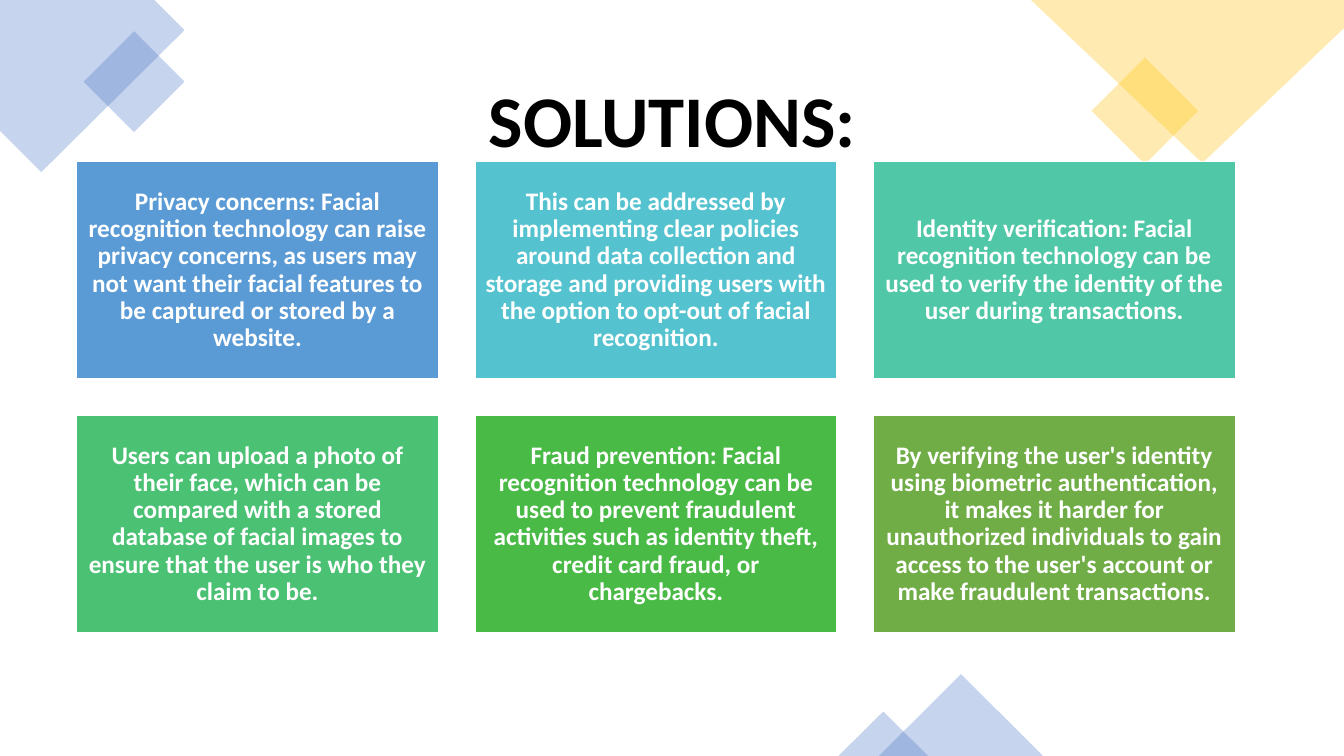
from dataclasses import dataclass
from lxml.etree import SubElement
from pptx import Presentation
from pptx.dml.color import RGBColor as Rgb
from pptx.enum.shapes import MSO_SHAPE as Kind
from pptx.enum.text import MSO_ANCHOR as Anchor, MSO_AUTO_SIZE as Fit, PP_ALIGN as Align
from pptx.oxml.ns import qn
from pptx.util import Cm, Pt


@dataclass(frozen=True)
class Theme:
    font: str = "Calibri"
    ink: str = "000000"
    paper: str = "FFFFFF"
    blue: str = "4472C4"
    gold: str = "FFC000"
    cards: tuple = ("5B9BD5", "55C3CF", "50C8A7", "4BC174", "4ABA46", "70AD47")
    head: int = 52
    body: int = 18
    alpha: int = 30


class Deck:
    def __init__(self, theme):
        self.theme = theme
        self.file = Presentation()
        self.file.slide_width, self.file.slide_height = Cm(33.87), Cm(19.05)
        self.slide = self.file.slides.add_slide(self.file.slide_layouts[5])
        self.shapes = self.slide.shapes

    def label(self, shape, text, size, color):
        frame = shape.text_frame
        frame.word_wrap = True
        frame.auto_size = Fit.NONE
        frame.vertical_anchor = Anchor.MIDDLE
        para = frame.paragraphs[0]
        para.alignment, para.line_spacing = Align.CENTER, 0.9
        run = para.add_run()
        run.text = text
        font = run.font
        font.name, font.size, font.bold = self.theme.font, Pt(size), True
        font.color.rgb = Rgb.from_string(color)

    def paint(self, shape, color):
        shape.shadow.inherit = False
        shape.fill.solid()
        shape.fill.fore_color.rgb = Rgb.from_string(color)

    def tint(self, shape, color):
        self.paint(shape, color)
        shape.line.fill.background()
        tone = shape._element.spPr.find(qn("a:solidFill"))[0]
        SubElement(tone, qn("a:alpha")).set("val", str(self.theme.alpha * 1000))

    def title(self, text, *box):
        shape = self.shapes.title
        shape.left, shape.top, shape.width, shape.height = map(Cm, box)
        self.label(shape, text, self.theme.head, self.theme.ink)
        # Keep the title in front of the corner decor
        self.shapes._spTree.append(shape._element)

    def decor(self, kind, color, *box):
        self.tint(self.shapes.add_shape(kind, *map(Cm, box)), color)

    def corner(self, color, *points):
        first, *rest = [(Cm(x), Cm(y)) for x, y in points]
        pen = self.shapes.build_freeform(*first)
        pen.add_line_segments(rest, close=True)
        self.tint(pen.convert_to_shape(), color)

    def card(self, text, color, *box):
        shape = self.shapes.add_shape(Kind.RECTANGLE, *map(Cm, box))
        self.paint(shape, color)
        shape.line.color.rgb = Rgb.from_string(self.theme.paper)
        shape.line.width = Pt(1)
        frame = shape.text_frame
        frame.margin_left = frame.margin_right = Cm(0.18)
        frame.margin_top = frame.margin_bottom = Cm(0.18)
        self.label(shape, text, self.theme.body, self.theme.paper)


theme = Theme()
deck = Deck(theme)

# Corner and edge decor
deck.corner(theme.blue, (0, 0), (3.89, 0), (4.65, 0.76), (1.04, 4.34), (0, 3.3))
deck.decor(Kind.DIAMOND, theme.blue, 2.11, 0.79, 2.54, 2.54)
deck.decor(Kind.DIAMOND, theme.gold, 27.51, 1.45, 2.69, 2.69)
deck.corner(theme.gold, (33.87, 0), (25.98, 0), (30.3, 4.11), (33.87, 0.71))
deck.decor(Kind.ISOSCELES_TRIANGLE, theme.blue, 22.15, 16.99, 4.14, 2.06)
deck.decor(Kind.ISOSCELES_TRIANGLE, theme.blue, 21.13, 17.93, 2.26, 1.12)

# Title
deck.title("SOLUTIONS:", 2.34, 1.55, 29.21, 3.15)

# Grid of solution cards
notes = (
    "Privacy concerns: Facial recognition technology can raise privacy concerns, "
    "as users may not want their facial features to be captured or stored by a website.",
    "This can be addressed by implementing clear policies around data collection and "
    "storage and providing users with the option to opt-out of facial recognition.",
    "Identity verification: Facial recognition technology can be used to verify "
    "the identity of the user during transactions.",
    "Users can upload a photo of their face, which can be compared with a stored "
    "database of facial images to ensure that the user is who they claim to be.",
    "Fraud prevention: Facial recognition technology can be used to prevent fraudulent "
    "activities such as identity theft, credit card fraud, or chargebacks.",
    "By verifying the user's identity using biometric authentication, it makes it harder "
    "for unauthorized individuals to gain access to the user's account or make "
    "fraudulent transactions.",
)
wide, high, gap = 9.12, 5.48, 0.92
for spot, (note, color) in enumerate(zip(notes, theme.cards)):
    row, col = divmod(spot, 3)
    deck.card(note, color, 1.93 + col * (wide + gap), 4.07 + row * (high + gap), wide, high)

deck.file.save("out.pptx")
